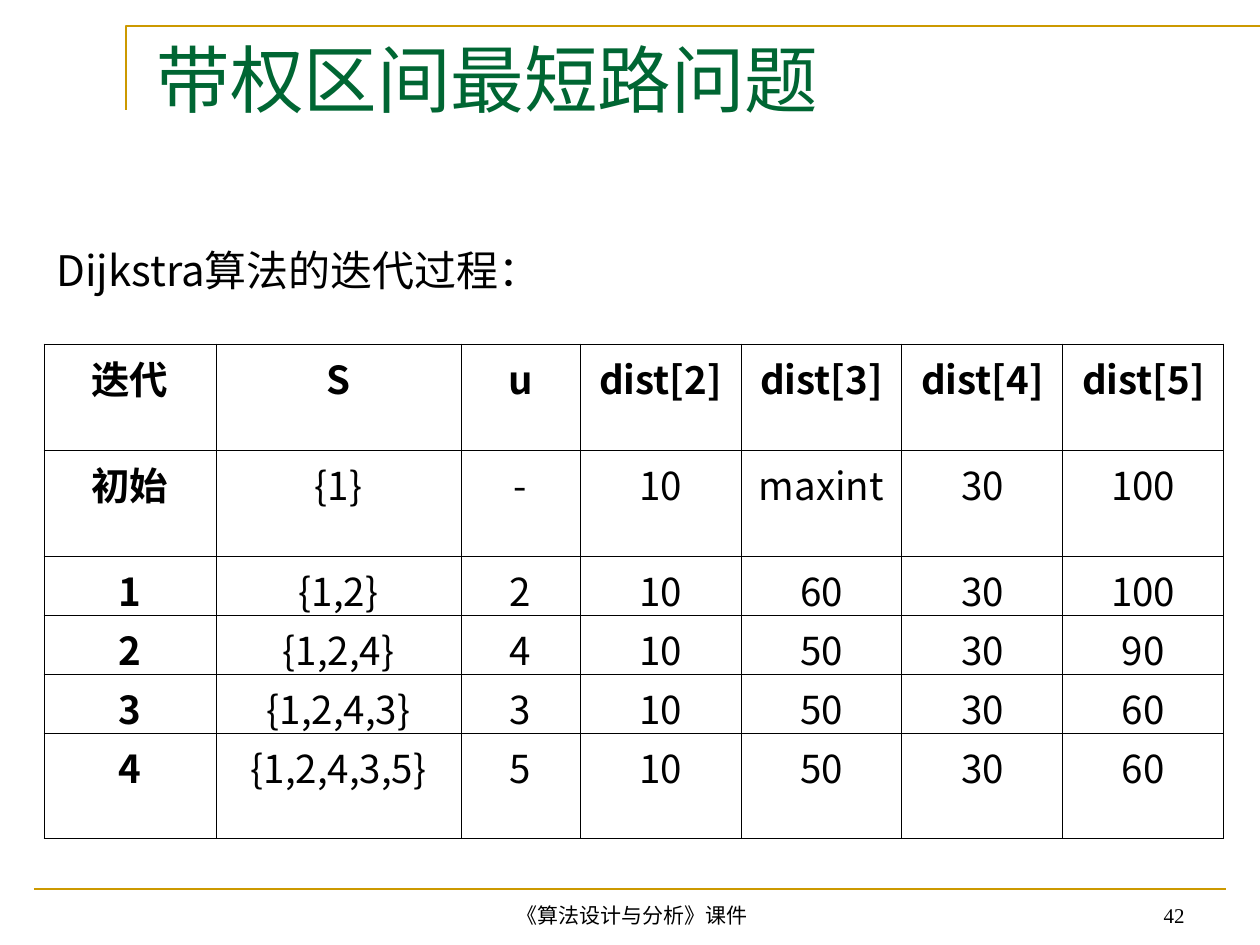
from pptx import Presentation
from pptx.dml.color import RGBColor
from pptx.enum.shapes import MSO_CONNECTOR
from pptx.enum.text import MSO_ANCHOR, PP_ALIGN
from pptx.oxml import parse_xml
from pptx.oxml.ns import nsdecls, qn
from pptx.util import Emu, Pt

BLACK = RGBColor(0x00, 0x00, 0x00)
GOLD = RGBColor(0xCC, 0x99, 0x00)
GREEN = RGBColor(0x00, 0x66, 0x33)
SANS = "Noto Sans CJK SC"
SERIF = "Times New Roman"

COLUMN_WIDTHS = [172, 245, 119] + [161] * 4
ROW_HEIGHTS = [106, 106, 59, 59, 59, 106]
ITERATIONS = [
    ["迭代", "S", "u", "dist[2]", "dist[3]", "dist[4]", "dist[5]"],
    ["初始", "{1}", "-", "10", "maxint", "30", "100"],
    ["1", "{1,2}", "2", "10", "60", "30", "100"],
    ["2", "{1,2,4}", "4", "10", "50", "30", "90"],
    ["3", "{1,2,4,3}", "3", "10", "50", "30", "60"],
    ["4", "{1,2,4,3,5}", "5", "10", "50", "30", "60"],
]


def px(length):
    return Emu(round(length * 914400 / 126))


class LectureSlide:
    """Draws the elements of one lecture slide in a shared style."""

    def __init__(self, slide):
        self.slide = slide
        self.shapes = slide.shapes

    def fill_text(self, frame, text, size, font=SANS, color=BLACK, bold=False,
                  align=PP_ALIGN.LEFT, spacing=None):
        frame.text = text
        paragraph = frame.paragraphs[0]
        paragraph.alignment = align
        paragraph.line_spacing = spacing
        run = paragraph.runs[0]
        run.font.size = Pt(size)
        run.font.name = font
        run.font.bold = bold
        run.font.color.rgb = color
        run.font._element.find(qn("a:latin")).addnext(
            parse_xml(f'<a:ea {nsdecls("a")} typeface="{SANS}"/>'))

    def title(self, text, left, top, width, height):
        heading = self.shapes.title
        heading.left, heading.top = px(left), px(top)
        heading.width, heading.height = px(width), px(height)
        heading.text_frame.vertical_anchor = MSO_ANCHOR.TOP
        self.fill_text(heading.text_frame, text, 42, color=GREEN, spacing=0.9)

    def text(self, text, left, top, width, height, size,
             anchor=MSO_ANCHOR.TOP, **style):
        frame = self.shapes.add_textbox(
            px(left), px(top), px(width), px(height)).text_frame
        frame.word_wrap = True
        frame.vertical_anchor = anchor
        self.fill_text(frame, text, size, **style)

    def corner(self, left, top, right, bottom):
        builder = self.shapes.build_freeform(px(left), px(bottom))
        builder.add_line_segments(
            [(px(left), px(top)), (px(right), px(top))], close=False)
        frame_corner = builder.convert_to_shape()
        frame_corner.shadow.inherit = False
        frame_corner.fill.background()
        frame_corner.line.color.rgb = GOLD
        frame_corner.line.width = Pt(1.5)

    def rule(self, left, right, y):
        footer_rule = self.shapes.add_connector(
            MSO_CONNECTOR.STRAIGHT, px(left), px(y), px(right), px(y))
        footer_rule.line.color.rgb = GOLD
        footer_rule.line.width = Pt(1.5)
        footer_rule._element.spPr.append(
            parse_xml(f'<a:effectLst {nsdecls("a")}/>'))

    def border(self, cell):
        properties = cell._tc.get_or_add_tcPr()
        for side in "LRTB":
            properties.append(parse_xml(
                f'<a:ln{side} {nsdecls("a")} w="{Pt(0.45)}"><a:solidFill>'
                f'<a:srgbClr val="{BLACK}"/></a:solidFill></a:ln{side}>'))

    def table(self, rows, left, top, widths, heights):
        grid = self.shapes.add_table(
            len(rows), len(widths), px(left), px(top),
            px(sum(widths)), px(sum(heights))).table
        grid.first_row = grid.horz_banding = False
        for column, width in zip(grid.columns, widths):
            column.width = px(width)
        for row, height in zip(grid.rows, heights):
            row.height = px(height)
        for r, values in enumerate(rows):
            for c, value in enumerate(values):
                cell = grid.cell(r, c)
                self.border(cell)
                cell.fill.background()
                self.fill_text(cell.text_frame, value, 22,
                               bold=r == 0 or c == 0, align=PP_ALIGN.CENTER)


def main():
    deck = Presentation()
    deck.slide_width, deck.slide_height = px(1260), px(945)
    lecture = LectureSlide(deck.slides.add_slide(deck.slide_layouts[5]))
    lecture.corner(126, 26, 1260, 110)
    lecture.rule(34, 1226, 889)
    lecture.text("《算法设计与分析》课件", 432, 889, 400, 45, 12,
                 MSO_ANCHOR.BOTTOM, font=SERIF, align=PP_ALIGN.CENTER)
    lecture.text("42", 903, 889, 294, 45, 12,
                 MSO_ANCHOR.BOTTOM, font=SERIF, align=PP_ALIGN.RIGHT)
    lecture.title("带权区间最短路问题", 144, 38, 983, 117)
    lecture.table(ITERATIONS, 44, 344, COLUMN_WIDTHS, ROW_HEIGHTS)
    lecture.text("Dijkstra算法的迭代过程：", 44, 244, 1180, 63, 24, spacing=0.9)
    deck.save("out.pptx")


if __name__ == "__main__":
    main()
